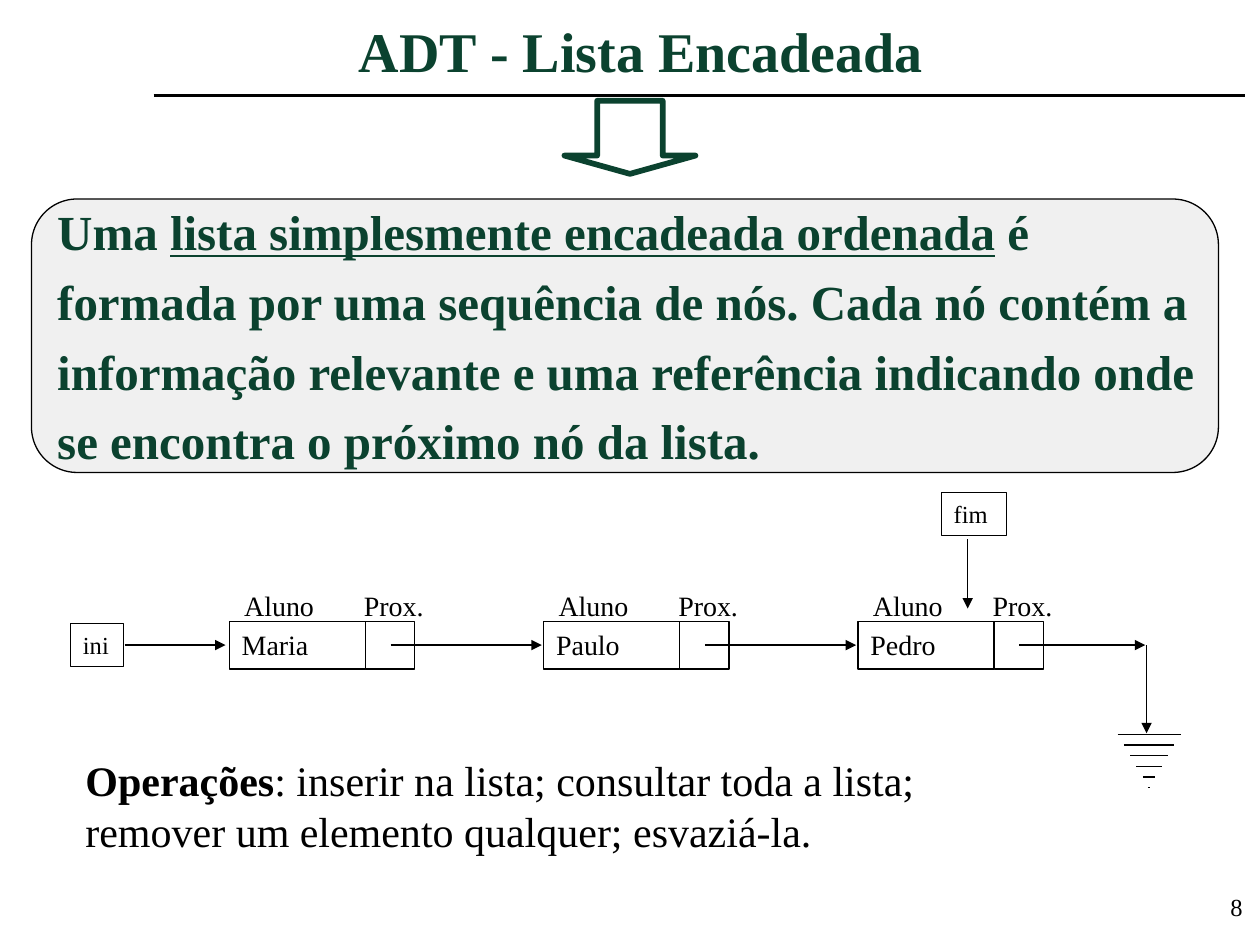
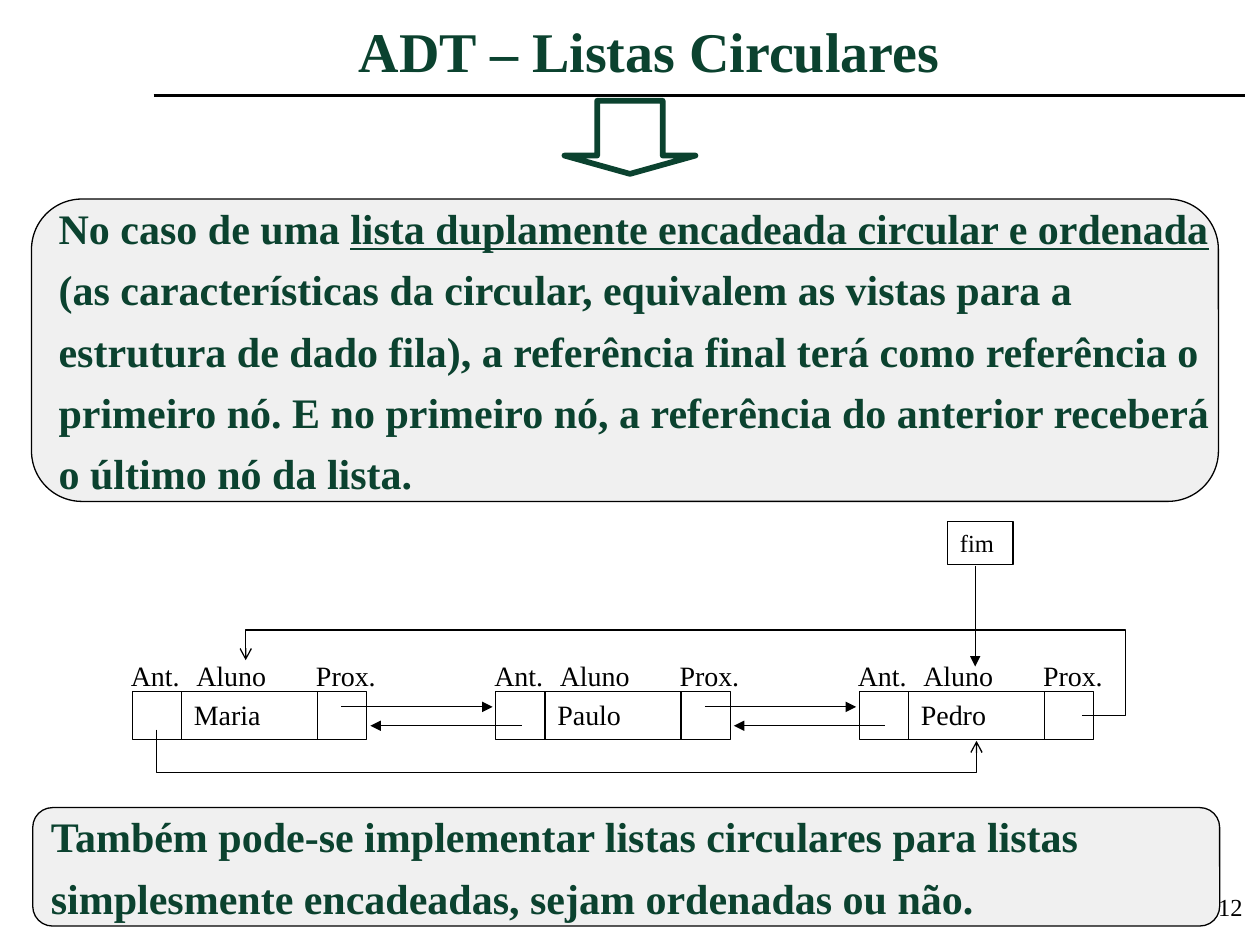
from lxml import etree
from pptx import Presentation
from pptx import util as u
from pptx.dml.color import RGBColor
from pptx.enum import shapes, text
from pptx.oxml import ns

GREEN = RGBColor(0x0B, 0x42, 0x2F)
BLACK = RGBColor(0, 0, 0)
PALE = RGBColor(0xF0, 0xF0, 0xF0)
FONT = "Times New Roman"
SLIDE_W, SLIDE_H = u.Inches(10), u.Inches(7.5)
UNIT = SLIDE_W // 10  # the grid has 10 columns and 7.5 rows of this size
INFO_W, REF_W, CELL_H = 1.08, 0.39, 0.38
LABEL_RISE = 0.31


def grid(*lengths):
    return [round(n * UNIT) for n in lengths]


def write(sp, lines, size=16, color=BLACK, bold=False, align=text.PP_ALIGN.LEFT,
          anchor=text.MSO_ANCHOR.TOP, wrap=True, gap=0):
    """Fill sp with lines; a line is a string or a list of (text, font settings)."""
    tf = sp.text_frame
    tf.word_wrap = wrap
    tf.vertical_anchor = anchor
    for i, line in enumerate(lines):
        p = tf.add_paragraph() if i else tf.paragraphs[0]
        p.alignment = align
        if i and gap:
            p.space_before = u.Pt(gap)
        for content, settings in [(line, {})] if isinstance(line, str) else line:
            r = p.add_run()
            r.text = content
            r.font.name, r.font.size, r.font.bold = FONT, u.Pt(size), bold
            r.font.color.rgb = color
            for name, value in settings.items():
                setattr(r.font, name, value)


def label(s, x, y, w, h, *lines, **style):
    sp = s.shapes.add_textbox(*grid(x, y, w, h))
    write(sp, lines, **style)


def shape(s, kind, x, y, w, h, fill=None, color=BLACK, weight=0.75):
    sp = s.shapes.add_shape(kind, *grid(x, y, w, h))
    outline(sp, fill, color, weight)
    return sp


def outline(sp, fill=None, color=BLACK, weight=0.75):
    sp.shadow.inherit = False
    if fill is None:
        sp.fill.background()
    else:
        sp.fill.solid()
        sp.fill.fore_color.rgb = fill
    sp.line.color.rgb = color
    sp.line.width = u.Pt(weight)


def box(s, x, y, w, h, *lines, **style):
    sp = shape(s, shapes.MSO_SHAPE.RECTANGLE, x, y, w, h)
    write(sp, lines, **style)


def arrowhead(sp, end, kind):
    """Put a head at the start (headEnd) or finish (tailEnd) of a line."""
    etree.SubElement(sp.line._get_or_add_ln(), ns.qn(f"a:{end}"), type=kind)


def line(s, x1, y1, x2, y2, weight=0.75, end=None):
    c = s.shapes.add_connector(shapes.MSO_CONNECTOR.STRAIGHT, *grid(x1, y1, x2, y2))
    c.line.color.rgb = BLACK
    c.line.width = u.Pt(weight)
    etree.SubElement(c._element.spPr, ns.qn("a:effectLst"))
    if end:
        arrowhead(c, end, "triangle")


def loop_arrow(s, *points):
    fb = s.shapes.build_freeform(*grid(*points[0]))
    fb.add_line_segments([grid(*pt) for pt in points[1:]], close=False)
    sp = fb.convert_to_shape()
    outline(sp)
    arrowhead(sp, "tailEnd", "arrow")


def definition(s, x, y, h, lines, size):
    sp = shape(s, shapes.MSO_SHAPE.ROUNDED_RECTANGLE, x, y, 9.42, h, fill=PALE)
    write(sp, lines, size=size, color=GREEN, bold=True, gap=6.2,
          anchor=text.MSO_ANCHOR.MIDDLE, wrap=False)


def node(s, x, y, name, double=False):
    """List node whose information cell starts at x; double adds the back reference."""
    box(s, x, y, INFO_W, CELL_H, name)
    label(s, x + 0.02, y - LABEL_RISE, 1.06, 0.37, "Aluno")
    references = [("Prox.", x + INFO_W)]
    if double:
        references.append(("Ant.", x - REF_W))
    for caption, left in references:
        box(s, left, y, REF_W, CELL_H)
        label(s, left - 0.11, y - LABEL_RISE, 0.73, 0.37, caption)


def ground(s, center, y):
    for i, w in enumerate([0.5, 0.4, 0.3, 0.2, 0.1, 0.02]):
        row = y + i * 0.084
        line(s, center - w / 2, row, center + w / 2, row)


def base_slide(prs, title, number):
    s = prs.slides.add_slide(prs.slide_layouts[6])
    line(s, 1.22, 0.76, 9.88, 0.76, weight=1.5)
    label(s, 7.88, 7.03, 2.08, 0.5, number, size=14, align=text.PP_ALIGN.RIGHT)
    sp = shape(s, shapes.MSO_SHAPE.DOWN_ARROW, 4.48, 0.8, 1.04, 0.58,
               color=GREEN, weight=3.25)
    sp.adjustments[0], sp.adjustments[1] = 0.5, 0.25
    label(s, 2.75, 0.08, 7, 0.64, title, size=32, color=GREEN, bold=True)
    return s


def linked_list(prs):
    s = base_slide(prs, "ADT - Lista Encadeada", "8")
    definition(s, 0.25, 1.58, 2.17, [
        [("Uma ", {}), ("lista simplesmente encadeada ordenada", {"underline": True}),
         (" é", {})],
        "formada por uma sequência de nós. Cada nó contém a",
        "informação relevante e uma referência indicando onde",
        "se encontra o próximo nó da lista."], size=28)
    first, step, top, mid = 1.82, 2.495, 4.93, 5.12
    for i, name in enumerate(["Maria", "Paulo", "Pedro"]):
        x = first + i * step
        node(s, x, top, name)
        line(s, x + 1.28, mid, x + (2.48 if i < 2 else 2.28), mid, end="tailEnd")
    box(s, 0.56, 4.95, 0.42, 0.34, "ini", size=14)
    line(s, 0.99, mid, 1.79, mid, end="tailEnd")
    box(s, 7.47, 3.91, 0.52, 0.34, "fim", size=14)
    line(s, 7.68, 4.28, 7.68, 4.83, end="tailEnd")
    line(s, 9.1, mid, 9.1, 5.82, end="tailEnd")
    ground(s, 9.12, 5.83)
    label(s, 0.58, 5.94, 6.86, 0.9,
          [("Operações", {"bold": True}),
           (": inserir na lista; consultar toda a lista;", {})],
          "remover um elemento qualquer; esvaziá-la.", size=24, wrap=False)


def circular_list(prs):
    s = base_slide(prs, "ADT – Listas Circulares", "12")
    definition(s, 0.25, 1.58, 2.4, [
        [("No caso de uma ", {}),
         ("lista duplamente encadeada circular e ordenada", {"underline": True})],
        "(as características da circular, equivalem as vistas para a",
        "estrutura de dado fila), a referência final terá como referência o",
        "primeiro nó. E no primeiro nó, a referência do anterior receberá",
        "o último nó da lista."], size=24)
    first, step, top = 1.44, 2.885, 5.49
    for i, name in enumerate(["Maria", "Paulo", "Pedro"]):
        x = first + i * step
        node(s, x, top, name, double=True)
        if i < 2:
            line(s, x + 1.27, 5.61, x + 2.47, 5.61, end="tailEnd")
            line(s, x + 1.5, 5.76, x + 2.7, 5.76, end="headEnd")
    box(s, 7.52, 4.14, 0.52, 0.34, "fim", size=14)
    line(s, 7.74, 4.49, 7.74, 5.29, end="tailEnd")
    loop_arrow(s, (8.59, 5.68), (8.93, 5.68), (8.93, 5), (1.95, 5), (1.95, 5.24))
    loop_arrow(s, (1.24, 5.79), (1.24, 6.13), (7.75, 6.13), (7.75, 5.88))
    definition(s, 0.26, 6.41, 0.94, [
        "Também pode-se implementar listas circulares para listas",
        "simplesmente encadeadas, sejam ordenadas ou não."], size=24)


def main():
    prs = Presentation()
    prs.slide_width, prs.slide_height = SLIDE_W, SLIDE_H
    linked_list(prs)
    circular_list(prs)
    prs.save("out.pptx")


if __name__ == "__main__":
    main()
